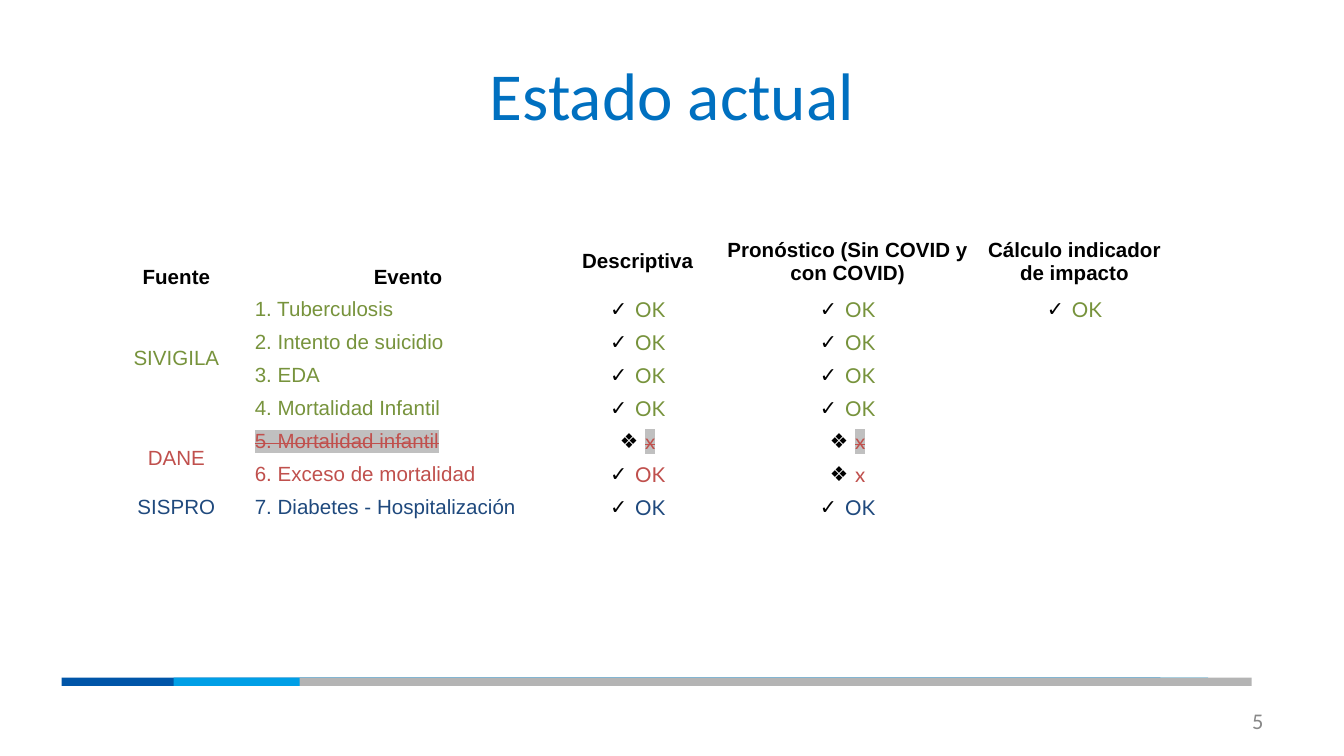
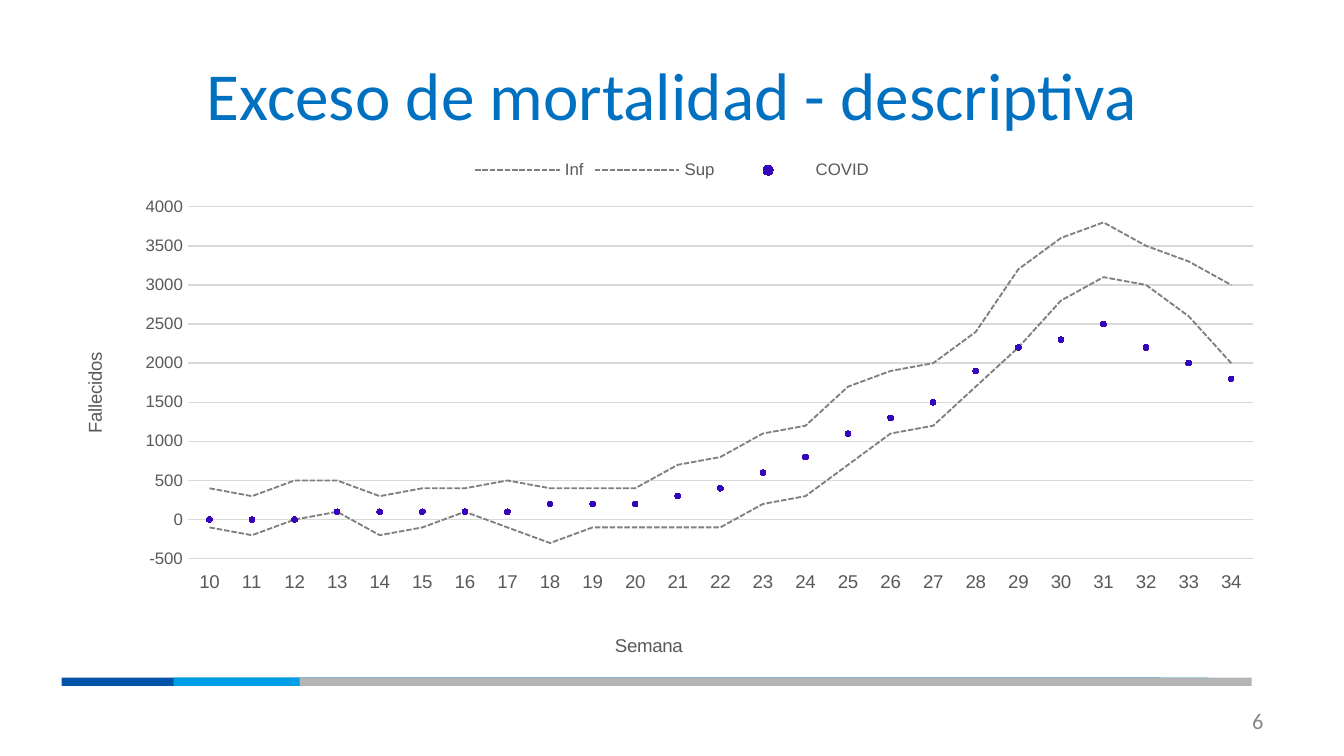
"""Builds two slides on mortality surveillance: a status table and a weekly chart."""
from pptx import Presentation
from pptx.chart.data import CategoryChartData
from pptx.dml.color import RGBColor
from pptx.enum.chart import XL_CHART_TYPE as ChartType, XL_LEGEND_POSITION as LegendPosition
from pptx.enum.chart import XL_MARKER_STYLE as MarkerStyle, XL_TICK_LABEL_POSITION as LabelPosition
from pptx.enum.chart import XL_TICK_MARK as TickMark
from pptx.enum.dml import MSO_LINE_DASH_STYLE as DashStyle
from pptx.enum.shapes import MSO_SHAPE as ShapeType
from pptx.enum.text import MSO_ANCHOR as Anchor, MSO_AUTO_SIZE as AutoSize, PP_ALIGN as Align
from pptx.oxml.ns import qn
from pptx.oxml.xmlchemy import OxmlElement
from pptx.util import Emu, Pt

EMU_PER_PX = 9525
TITLE_ONLY = 5
BLACK, WHITE = "000000", "FFFFFF"
TITLE_BLUE, NUMBER_GRAY = "0070C0", "888888"
GREEN, RED, NAVY = "77933C", "C0504D", "1F497D"
LABEL_GRAY, GRID_GRAY, LIMIT_GRAY = "595959", "D9D9D9", "808080"
HIGHLIGHT_GRAY, COVID_BLUE = "C0C0C0", "3506BA"
BAND_RIGHT, BAND_TOP, BAND_HEIGHT = 894, 484, 6
BANDS = [(44, 829, "0055A8"), (124, 863, "009FE6"), (214, BAND_RIGHT, "B4B4B4")]
CHECK, DIAMOND = "✓", "❖"


def px(length):
    """Turn whole pixels into EMU."""
    return Emu(length * EMU_PER_PX)


def color(value):
    """Turn a hex string into a colour."""
    return RGBColor.from_string(value)


def set_font(font, size, hex_color, name="Arial", bold=False):
    """Apply size, colour, typeface and weight to a font."""
    font.size, font.name, font.bold = Pt(size), name, bold
    font.color.rgb = color(hex_color)


def set_line(line, hex_color, width):
    """Apply colour and width to a line."""
    line.color.rgb = color(hex_color)
    line.width = Pt(width)


def add_child(parent, tag, **attributes):
    """Append an XML element with the given attributes."""
    child = OxmlElement(tag)
    for key, value in attributes.items():
        child.set(key, value)
    parent.append(child)
    return child


def add_solid_color(parent, tag, hex_color):
    """Append an element that holds one RGB colour."""
    child = add_child(parent, tag)
    add_child(child, "a:srgbClr", val=hex_color)
    return child


def add_bullet(paragraph, character):
    """Give a paragraph a black hanging bullet."""
    properties = paragraph._p.get_or_add_pPr()
    properties.set("marL", str(px(18)))
    properties.set("indent", str(-px(18)))
    add_solid_color(properties, "a:buClr", BLACK)
    add_child(properties, "a:buFont", typeface="Arial")
    add_child(properties, "a:buChar", char=character)


def write(text_frame, text, size=11, hex_color=BLACK, font="Arial", bold=False,
          align=Align.CENTER, bullet=None, struck=False):
    """Write one formatted paragraph into a text frame."""
    paragraph = text_frame.paragraphs[0]
    paragraph.alignment = align
    if bullet:
        add_bullet(paragraph, bullet)
    if text:
        run = paragraph.add_run()
        run.text = text
        set_font(run.font, size, hex_color, font, bold)
        if struck:
            properties = run._r.get_or_add_rPr()
            properties.set("strike", "sngStrike")
            highlight = add_solid_color(properties, "a:highlight", HIGHLIGHT_GRAY)
            properties.find(qn("a:solidFill")).addnext(highlight)
    else:
        add_child(paragraph._p, "a:endParaRPr", sz=str(size * 100))


def place_chart_part(element, index, **fractions):
    """Fix a chart part at fractions of the chart area."""
    previous = element.find(qn("c:layout"))
    if previous is not None:
        element.remove(previous)
    layout = OxmlElement("c:layout")
    element.insert(index, layout)
    manual = add_child(layout, "c:manualLayout")
    if "w" in fractions:
        add_child(manual, "c:layoutTarget", val="inner")
    add_child(manual, "c:xMode", val="edge")
    add_child(manual, "c:yMode", val="edge")
    for key, value in fractions.items():
        add_child(manual, f"c:{key}", val=str(value))


class Deck:
    """Holds the presentation, its style and the current slide."""

    def __init__(self, width, height, first_number):
        """Start an empty presentation."""
        self.presentation = Presentation()
        self.presentation.slide_width = px(width)
        self.presentation.slide_height = px(height)
        self.number = first_number
        self.slide = None

    def add_slide(self, title):
        """Add a slide with title, bands and number."""
        layout = self.presentation.slide_layouts[TITLE_ONLY]
        self.slide = self.presentation.slides.add_slide(layout)
        self.add_title(title)
        for left, right, fill in BANDS:
            self.add_band(left, right, fill)
        self.add_text(688, 500, 224, 29, str(self.number), size=12,
                      hex_color=NUMBER_GRAY, font="Calibri", align=Align.RIGHT)
        self.number += 1

    def add_title(self, text):
        """Move and fill the title placeholder."""
        title = self.slide.shapes.title
        title.left, title.top, title.width, title.height = map(px, (48, 22, 864, 90))
        title.text_frame.auto_size = AutoSize.NONE
        title.text_frame.vertical_anchor = Anchor.MIDDLE
        write(title.text_frame, text, size=36, hex_color=TITLE_BLUE, font="Calibri")

    def add_band(self, left, right, fill):
        """Add one flat footer band."""
        shape = self.slide.shapes.add_shape(
            ShapeType.RECTANGLE, px(left), px(BAND_TOP), px(right - left), px(BAND_HEIGHT))
        shape.shadow.inherit = False
        shape.fill.solid()
        shape.fill.fore_color.rgb = color(fill)
        shape.line.fill.background()

    def add_text(self, left, top, width, height, text, **style):
        """Add a wrapped text box."""
        box = self.slide.shapes.add_textbox(px(left), px(top), px(width), px(height))
        box.text_frame.word_wrap = True
        box.text_frame.vertical_anchor = Anchor.MIDDLE
        write(box.text_frame, text, **style)

    def add_table(self, left, top, widths, heights):
        """Add an unfilled table with tight cell margins."""
        table = self.slide.shapes.add_table(
            len(heights), len(widths), px(left), px(top),
            px(sum(widths)), px(sum(heights))).table
        table.first_row = table.horz_banding = False
        for column, width in zip(table.columns, widths):
            column.width = px(width)
        for row, height in zip(table.rows, heights):
            row.height = px(height)
        for cell in table.iter_cells():
            cell.fill.background()
            cell.margin_left = cell.margin_right = cell.margin_top = px(1)
            cell.margin_bottom = px(5)
            cell.vertical_anchor = Anchor.MIDDLE
        return table

    def add_line_chart(self, left, top, width, height, categories, series):
        """Add a line chart with its legend on top."""
        data = CategoryChartData(number_format="0")
        data.categories = categories
        for name, values in series.items():
            data.add_series(name, values)
        chart = self.slide.shapes.add_chart(
            ChartType.LINE_MARKERS, px(left), px(top), px(width), px(height), data).chart
        chart.has_title = False
        set_font(chart.font, 10, BLACK)
        chart.has_legend = True
        chart.legend.position = LegendPosition.TOP
        chart.legend.include_in_layout = False
        set_font(chart.legend.font, 9, LABEL_GRAY)
        chart_space = chart._chartSpace
        background = OxmlElement("c:spPr")
        add_solid_color(background, "a:solidFill", WHITE)
        add_child(add_child(background, "a:ln"), "a:noFill")
        chart_space.find(qn("c:chart")).addnext(background)
        return chart

    def format_axis(self, axis, title, size, **position):
        """Style an axis and place its title."""
        axis.major_tick_mark = axis.minor_tick_mark = TickMark.NONE
        set_font(axis.tick_labels.font, size, LABEL_GRAY)
        text_frame = axis.axis_title.text_frame
        write(text_frame, title, size=10, hex_color=LABEL_GRAY)
        place_chart_part(axis.axis_title._element, 1, **position)


def build_status_slide(deck):
    """Show the progress of every event by source."""
    deck.add_slide("Estado actual")
    headers = ["Fuente", "Evento", "Descriptiva",
               "Pronóstico (Sin COVID y con COVID)", "Cálculo indicador de impacto"]
    sources = [
        ("SIVIGILA", GREEN, [("1. Tuberculosis", "OK", "OK", "OK"),
                             ("2. Intento de suicidio", "OK", "OK", ""),
                             ("3. EDA", "OK", "OK", ""),
                             ("4. Mortalidad Infantil", "OK", "OK", "")]),
        ("DANE", RED, [("5. Mortalidad infantil", "x", "x", ""),
                       ("6. Exceso de mortalidad", "OK", "x", "")]),
        ("SISPRO", NAVY, [("7. Diabetes - Hospitalización", "OK", "OK", "")]),
    ]
    discarded = "5. Mortalidad infantil"
    bullets = {"OK": CHECK, "x": DIAMOND}
    table = deck.add_table(71, 167, [110, 221, 107, 193, 131], [44] + [22] * 7)
    for column, header in enumerate(headers):
        cell = table.cell(0, column)
        write(cell.text_frame, header, bold=True)
        if column < 2:
            cell.vertical_anchor = Anchor.BOTTOM
    row = 1
    for source, hex_color, events in sources:
        first = row
        for event, *states in events:
            struck = event == discarded
            write(table.cell(row, 0).text_frame, source if row == first else "",
                  hex_color=hex_color)
            write(table.cell(row, 1).text_frame, event, hex_color=hex_color,
                  align=Align.LEFT, struck=struck)
            for column, state in enumerate(states, start=2):
                write(table.cell(row, column).text_frame, state, hex_color=hex_color,
                      font="Lato", bullet=bullets.get(state), struck=struck)
            row += 1
        if len(events) > 1:
            table.cell(first, 0).merge(table.cell(row - 1, 0))


def build_mortality_slide(deck):
    """Plot weekly deaths against the expected limits."""
    deck.add_slide("Exceso de mortalidad - descriptiva")
    weeks = [str(week) for week in range(10, 35)]
    series = {
        "Inf": [-100, -200, 0, 100, -200, -100, 100, -100, -300, -100, -100, -100, -100,
                200, 300, 700, 1100, 1200, 1700, 2200, 2800, 3100, 3000, 2600, 2000],
        "Sup": [400, 300, 500, 500, 300, 400, 400, 500, 400, 400, 400, 700, 800,
                1100, 1200, 1700, 1900, 2000, 2400, 3200, 3600, 3800, 3500, 3300, 3000],
        "COVID": [0, 0, 0, 100, 100, 100, 100, 100, 200, 200, 200, 300, 400,
                  600, 800, 1100, 1300, 1500, 1900, 2200, 2300, 2500, 2200, 2000, 1800],
    }
    chart = deck.add_line_chart(48, 104, 864, 369, weeks, series)
    plot = chart.plots[0]
    plot.vary_by_categories = False
    *limits, covid = plot.series
    for limit in limits:
        limit.smooth = False
        limit.marker.style = MarkerStyle.NONE
        set_line(limit.format.line, LIMIT_GRAY, 1)
        limit.format.line.dash_style = DashStyle.SQUARE_DOT
    covid.smooth = False
    covid.format.line.fill.background()
    covid.marker.style, covid.marker.size = MarkerStyle.CIRCLE, 3
    covid.marker.format.fill.solid()
    covid.marker.format.fill.fore_color.rgb = color(COVID_BLUE)
    set_line(covid.marker.format.line, COVID_BLUE, 0.75)
    week_axis, death_axis = chart.category_axis, chart.value_axis
    deck.format_axis(week_axis, "Semana", 10, x=0.45, y=0.95)
    week_axis.tick_label_position = LabelPosition.LOW
    set_line(week_axis.format.line, GRID_GRAY, 0.75)
    deck.format_axis(death_axis, "Fallecidos", 9, x=0.01, y=0.4)
    death_axis.minimum_scale, death_axis.maximum_scale = -500, 4000
    death_axis.major_unit = 500
    death_axis.tick_labels.number_format = "0"
    death_axis.tick_labels.number_format_is_linked = False
    death_axis.format.line.fill.background()
    set_line(death_axis.major_gridlines.format.line, GRID_GRAY, 0.75)
    plot_area = chart._chartSpace.find(qn("c:chart")).find(qn("c:plotArea"))
    place_chart_part(plot_area, 0, x=0.1, y=0.12, w=0.88, h=0.69)


def main():
    """Build both slides and save the file."""
    deck = Deck(960, 540, first_number=5)
    build_status_slide(deck)
    build_mortality_slide(deck)
    deck.presentation.save("out.pptx")


if __name__ == "__main__":
    main()
